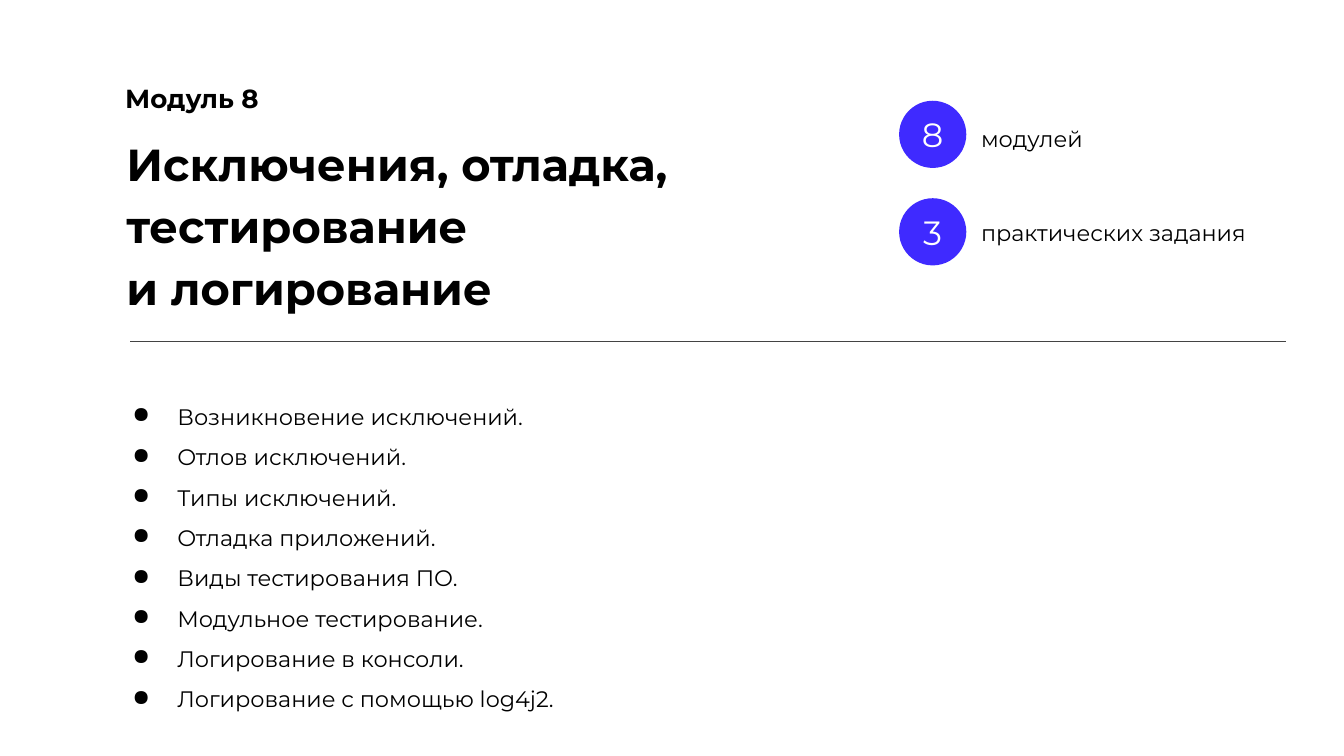
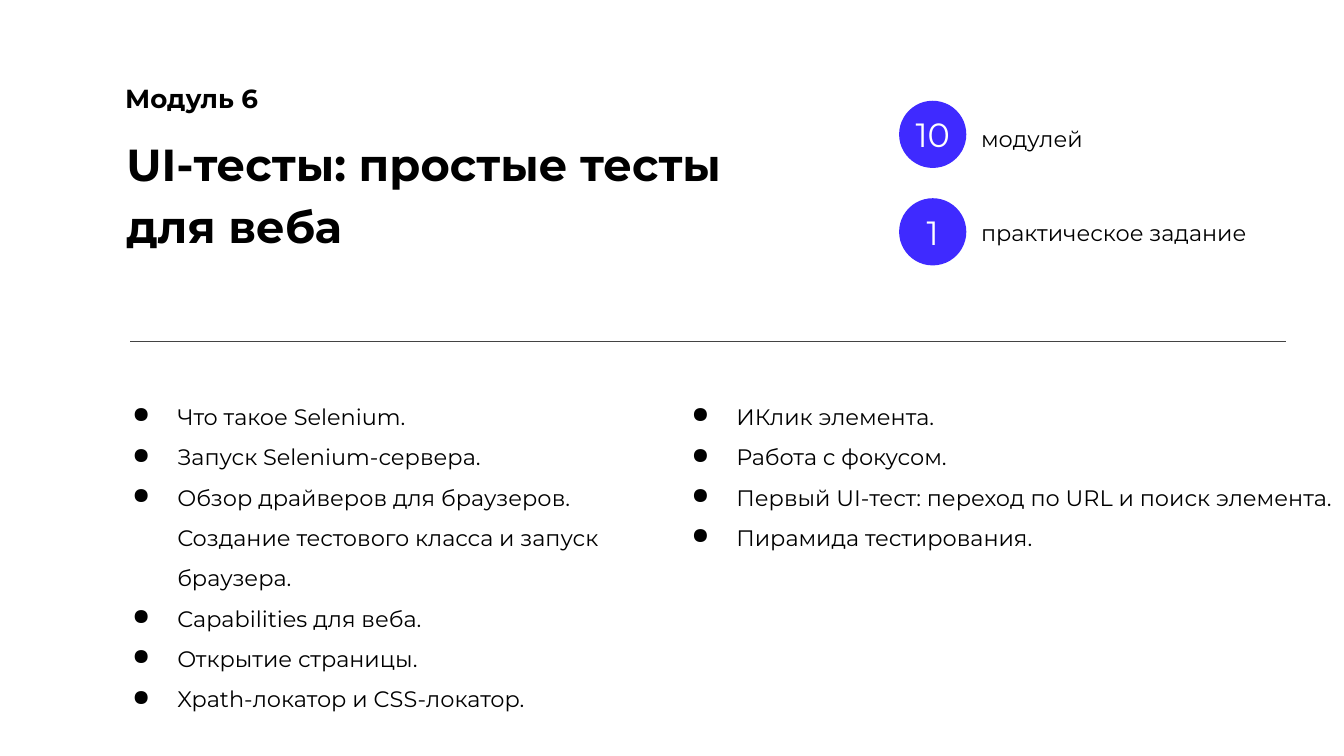
from lxml import etree
from pptx import Presentation
from pptx.dml.color import RGBColor
from pptx.enum import shapes, text
from pptx.oxml import ns
from pptx.util import Pt

FACE = "Montserrat"
BLACK, WHITE, BLUE, GRAY = "000000", "FFFFFF", "3F2AFF", "434343"
LABEL = dict(size=Pt(14), bold=True)
TITLE = dict(size=Pt(24), bold=True)
BODY = dict(size=Pt(12), bold=False)
COUNT = dict(size=Pt(18), bold=False)
LEFT, RIGHT = 59, 358.5
BADGE, STEP = 36, 52.2

DECK = [
    dict(
        label="Модуль 8",
        title="Исключения, отладка, тестирование\vи логирование",
        size=(368, 194.4),
        counts=[("8", "модулей"), ("3", "практических задания")],
        lists=[(LEFT, 613.5, 196, [
            "Возникновение исключений.",
            "Отлов исключений.",
            "Типы исключений.",
            "Отладка приложений.",
            "Виды тестирования ПО.",
            "Модульное тестирование.",
            "Логирование в консоли.",
            "Логирование с помощью log4j2.",
        ])],
    ),
    dict(
        label="Модуль 6",
        title="UI-тесты: простые тесты для веба",
        size=(359.3, 161.3),
        counts=[("10", "модулей"), ("1", "практическое задание")],
        lists=[
            (LEFT, 302.4, 172.8, [
                "Что такое Selenium.",
                "Запуск Selenium-сервера.",
                "Обзор драйверов для браузеров. "
                "Создание тестового класса и запуск браузера.",
                "Capabilities для веба.",
                "Открытие страницы.",
                "Xpath-локатор и CSS-локатор.",
            ]),
            (RIGHT, 361, 149.8, [
                "ИКлик элемента.",
                "Работа с фокусом.",
                "Первый UI-тест: переход по URL и поиск элемента.",
                "Пирамида тестирования.",
            ]),
        ],
    ),
]


def paint(color, code):
    """Set a color format from a hex string."""
    color.rgb = RGBColor.from_string(code)


def assign(obj, vals):
    """Set attributes from a dict."""
    for key, val in vals.items():
        setattr(obj, key, val)


def write(shape, lines, style, code=BLACK, space=1.15,
          align=text.PP_ALIGN.LEFT, anchor=text.MSO_ANCHOR.TOP):
    """Fill a shape with formatted paragraphs."""
    frame = shape.text_frame
    assign(frame, dict(
        margin_left=0, margin_top=0, margin_right=0, margin_bottom=0,
        word_wrap=True, auto_size=text.MSO_AUTO_SIZE.NONE,
        vertical_anchor=anchor, text="\n".join(lines)))
    for para in frame.paragraphs:
        assign(para, dict(line_spacing=space, alignment=align))
        for run in para.runs:
            assign(run.font, dict(style, name=FACE))
            paint(run.font.color, code)
    return frame


def add_text(slide, box, lines, style, **opts):
    """Add a text box and return its frame."""
    shape = slide.shapes.add_textbox(*map(Pt, box))
    return write(shape, lines, style, **opts)


def add_title(slide, words, size):
    """Place and format the title."""
    shape = slide.shapes.title
    names = ("left", "top", "width", "height")
    assign(shape, dict(zip(names, map(Pt, (67.7, 69.1, *size)))))
    write(shape, [words], TITLE)


def add_list(slide, left, width, height, items):
    """Add a bulleted list."""
    frame = add_text(slide, (left, 208.8, width, height), items, BODY, space=1.5)
    for para in frame.paragraphs:
        props = para._p.get_or_add_pPr()
        props.set("marL", str(Pt(36)))
        props.set("indent", str(-Pt(24)))
        tint = etree.SubElement(props, ns.qn("a:buClr"))
        etree.SubElement(tint, ns.qn("a:srgbClr"), val=BLACK)
        etree.SubElement(props, ns.qn("a:buChar"), char="●")


def add_rule(slide):
    """Draw the line below the heading."""
    ends = map(Pt, (69.8, 182.9, 689, 182.9))
    rule = slide.shapes.add_connector(shapes.MSO_CONNECTOR.STRAIGHT, *ends)
    rule.line.width = Pt(0.75)
    paint(rule.line.color, GRAY)
    etree.SubElement(rule._element.spPr, ns.qn("a:effectLst"))


def add_count(slide, row, count, words):
    """Add a numbered badge and its caption."""
    box = map(Pt, (481.7, 54 + row * STEP, BADGE, BADGE))
    badge = slide.shapes.add_shape(shapes.MSO_SHAPE.OVAL, *box)
    badge.shadow.inherit = False
    badge.fill.solid()
    paint(badge.fill.fore_color, BLUE)
    badge.line.fill.background()
    write(badge, [count], COUNT, code=WHITE, space=1.0,
          align=text.PP_ALIGN.CENTER, anchor=text.MSO_ANCHOR.MIDDLE)
    add_text(slide, (525.6, 65 + row * 50, 165.6, 24.5), [words], BODY)


def add_page(deck, page):
    """Build one module slide."""
    slide = deck.slides.add_slide(deck.slide_layouts[5])
    add_text(slide, (67, 41.8, 345, 20), [page["label"]], LABEL)
    add_title(slide, page["title"], page["size"])
    add_rule(slide)
    for row, pair in enumerate(page["counts"]):
        add_count(slide, row, *pair)
    for block in page["lists"]:
        add_list(slide, *block)


def main():
    """Build and save the deck."""
    deck = Presentation()
    assign(deck, dict(slide_width=Pt(720), slide_height=Pt(405)))
    for page in DECK:
        add_page(deck, page)
    deck.save("out.pptx")


if __name__ == "__main__":
    main()
